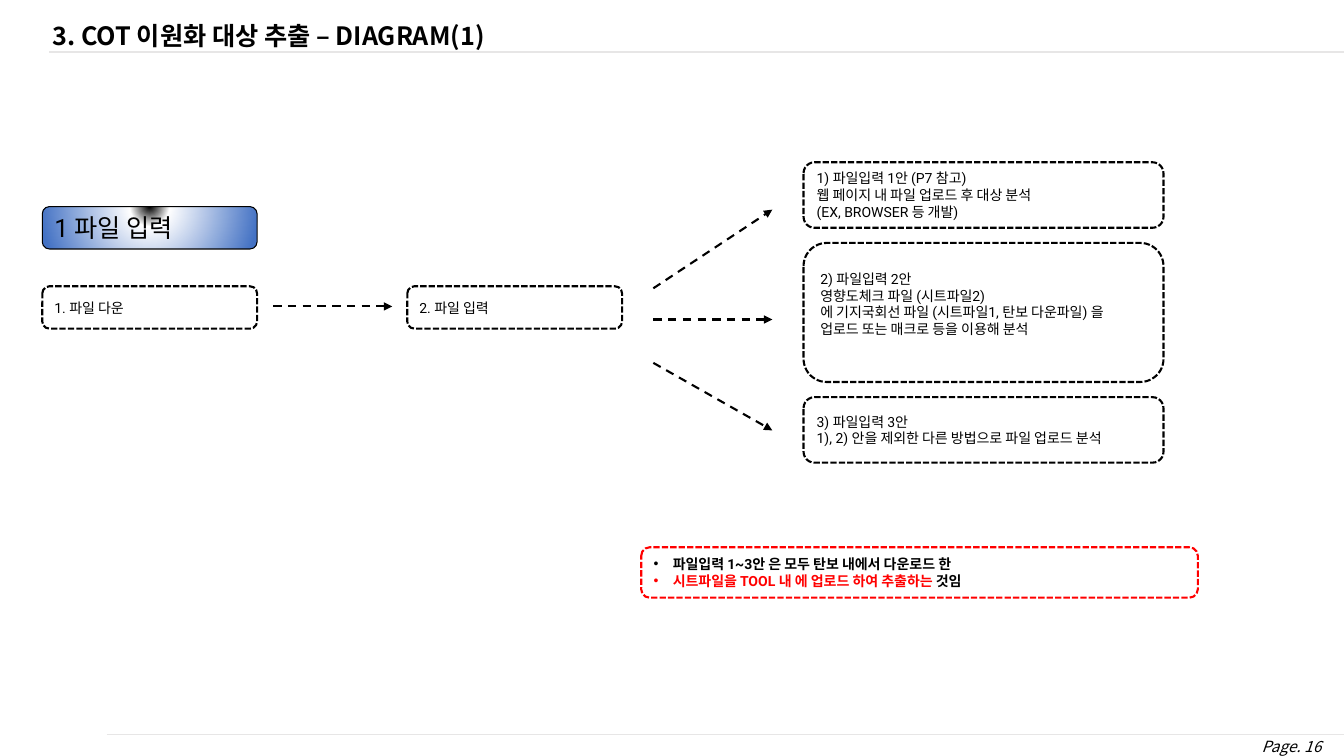
import pptx
import pptx.util
import pptx.dml.color
import pptx.enum.dml
import pptx.enum.shapes
import pptx.enum.text
import pptx.oxml
import pptx.oxml.ns

COLORS = {"black": "000000", "white": "FFFFFF", "blue": "4472C4", "red": "FF0000", "rule": "E7E6E6"}
HEADING_FONT, BODY_FONT = "Noto Sans CJK KR", "Roboto"
WIDTH, HEIGHT = 13.33, 7.5

TITLE = "3. COT 이원화 대상 추출 – DIAGRAM(1)"
PAGE = "Page. 16"
SECTION = "1 파일 입력"
STEPS = ["1. 파일 다운", "2. 파일 입력"]
OPTIONS = [
    (0.65, ["1) 파일입력 1안 (P7 참고)", "웹 페이지 내 파일 업로드 후 대상 분석", "(EX, BROWSER 등 개발)"]),
    (1.38, ["2) 파일입력 2안", "영향도체크 파일 (시트파일2)",
            "에 기지국회선 파일 (시트파일1, 탄보 다운파일) 을", "업로드 또는 매크로 등을 이용해 분석"]),
    (0.65, ["3) 파일입력 3안", "1), 2) 안을 제외한 다른 방법으로 파일 업로드 분석"]),
]
NOTES = [
    [("파일입력 1~3안 은 모두 탄보 내에서 다운로드 한", "black")],
    [("시트파일을 TOOL 내 에 업로드 하여 추출하는 ", "red"), ("것임", "black")],
]

LEFT, STEP_PITCH, STEP_TOP = 0.42, 3.62, 2.84
STEP_SIZE = (2.13, 0.42)
OPTION_LEFT, OPTION_TOP, OPTION_WIDTH, OPTION_GAP = 7.97, 1.61, 3.57, 0.15
ARROW_LENGTH, FAN_LEFT = 1.18, 6.48
ARROWS = [(2.71, 3.04, 3.04), (FAN_LEFT, 2.86, 2.08), (FAN_LEFT, 3.17, 3.17), (FAN_LEFT, 3.6, 4.27)]
RULES = [(0.49, 0.52, 1.5), (1.06, 7.29, 0.75)]

inches, points = pptx.util.Inches, pptx.util.Pt
MIDDLE = pptx.enum.text.MSO_ANCHOR.MIDDLE
ALIGN = pptx.enum.text.PP_ALIGN
DASH = pptx.enum.dml.MSO_LINE


def color(name):
    return pptx.dml.color.RGBColor.from_string(COLORS[name])


def element(tag, content="", attributes=""):
    namespace = pptx.oxml.ns.nsdecls("a")
    return pptx.oxml.parse_xml(f"<a:{tag} {namespace} {attributes}>{content}</a:{tag}>")


def write(frame, paragraphs, size, font=BODY_FONT, bold=False, italic=False, align=ALIGN.LEFT):
    frame.vertical_anchor = MIDDLE
    for index, runs in enumerate(paragraphs):
        paragraph = frame.add_paragraph() if index else frame.paragraphs[0]
        paragraph.alignment = align
        for text, tint in runs:
            run = paragraph.add_run()
            run.text = text
            run.font.name, run.font.size = font, points(size)
            run.font.bold, run.font.italic = bold, italic
            run.font.color.rgb = color(tint)
            run.font._element.find(pptx.oxml.ns.qn("a:latin")).addnext(
                element("ea", attributes=f'typeface="{HEADING_FONT}"'))


def black_lines(*lines):
    return [[(line, "black")] for line in lines]


def add_box(slide, area, paragraphs, size=10, line="black", weight=1.5, dash=DASH.SQUARE_DOT, bold=False):
    shape = slide.shapes.add_shape(
        pptx.enum.shapes.MSO_SHAPE.ROUNDED_RECTANGLE, *map(inches, area))
    shape.shadow.inherit = False
    shape.fill.solid()
    shape.fill.fore_color.rgb = color("white")
    shape.line.color.rgb = color(line)
    shape.line.width = points(weight)
    shape.line.dash_style = dash
    shape.text_frame.word_wrap = True
    write(shape.text_frame, paragraphs, size, bold=bold)
    return shape


def add_line(slide, start, end, tint, weight):
    connector = slide.shapes.add_connector(
        pptx.enum.shapes.MSO_CONNECTOR.STRAIGHT, *map(inches, (*start, *end)))
    connector.line.color.rgb = color(tint)
    connector.line.width = points(weight)
    connector._element.spPr.append(element("effectLst"))
    return connector


def add_arrow(slide, left, start_y, end_y):
    arrow = add_line(slide, (left, start_y), (left + ARROW_LENGTH, end_y), "black", 1.5)
    arrow.line.dash_style = DASH.DASH
    arrow.line._ln.append(element("tailEnd", attributes='type="triangle"'))


def radial_fill(shape):
    stops = "".join(
        f'<a:gs pos="{share * 1000}"><a:srgbClr val="{COLORS[name]}"/></a:gs>'
        for share, name in [(0, "black"), (18, "white"), (100, "blue")])
    center = '<a:path path="circle"><a:fillToRect l="50000" t="-80000" r="50000" b="180000"/></a:path>'
    properties = shape._element.spPr
    solid = properties.find(pptx.oxml.ns.qn("a:solidFill"))
    properties.replace(solid, element("gradFill", f"<a:gsLst>{stops}</a:gsLst>{center}", 'rotWithShape="1"'))


def add_heading(slide):
    title = slide.shapes.title
    title.left, title.top, title.width, title.height = map(inches, (LEFT, 0.11, 4.87, 0.42))
    title.text_frame.word_wrap = False
    write(title.text_frame, black_lines(TITLE), 18, HEADING_FONT, bold=True)
    title.text_frame.paragraphs[0].line_spacing = 1.2


def add_page_number(slide):
    box = slide.shapes.add_textbox(*map(inches, (12.44, 7.26, 0.74, 0.29)))
    frame = box.text_frame
    frame.word_wrap = False
    frame.margin_left = frame.margin_right = inches(0.06)
    write(frame, black_lines(PAGE), 11, HEADING_FONT, italic=True, align=ALIGN.CENTER)


def add_options(slide):
    top = OPTION_TOP
    for height, lines in OPTIONS:
        box = add_box(slide, (OPTION_LEFT, top, OPTION_WIDTH, height), black_lines(*lines))
        if len(lines) > 3:
            box.text_frame.margin_bottom = inches(0.22)
        top += height + OPTION_GAP


def add_notes(slide):
    box = add_box(slide, (6.36, 5.43, 5.52, 0.5), NOTES, line="red", bold=True)
    for paragraph in box.text_frame.paragraphs:
        properties = paragraph._p.get_or_add_pPr()
        properties.set("marL", str(inches(0.19)))
        properties.set("indent", str(-inches(0.19)))
        properties.append(element("buFont", attributes='typeface="Arial"'))
        properties.append(element("buChar", attributes='char="•"'))


def main():
    presentation = pptx.Presentation()
    presentation.slide_width, presentation.slide_height = inches(WIDTH), inches(HEIGHT)
    slide = presentation.slides.add_slide(presentation.slide_layouts[5])
    for left, top, weight in RULES:
        add_line(slide, (left, top), (WIDTH, top), "rule", weight)
    add_page_number(slide)
    add_heading(slide)
    section = add_box(slide, (LEFT, 2.05, *STEP_SIZE), black_lines(SECTION), 18, weight=0.75, dash=DASH.SOLID)
    radial_fill(section)
    for column, step in enumerate(STEPS):
        add_box(slide, (LEFT + column * STEP_PITCH, STEP_TOP, *STEP_SIZE), black_lines(step))
    for arrow in ARROWS:
        add_arrow(slide, *arrow)
    add_options(slide)
    add_notes(slide)
    presentation.save("out.pptx")


if __name__ == "__main__":
    main()
